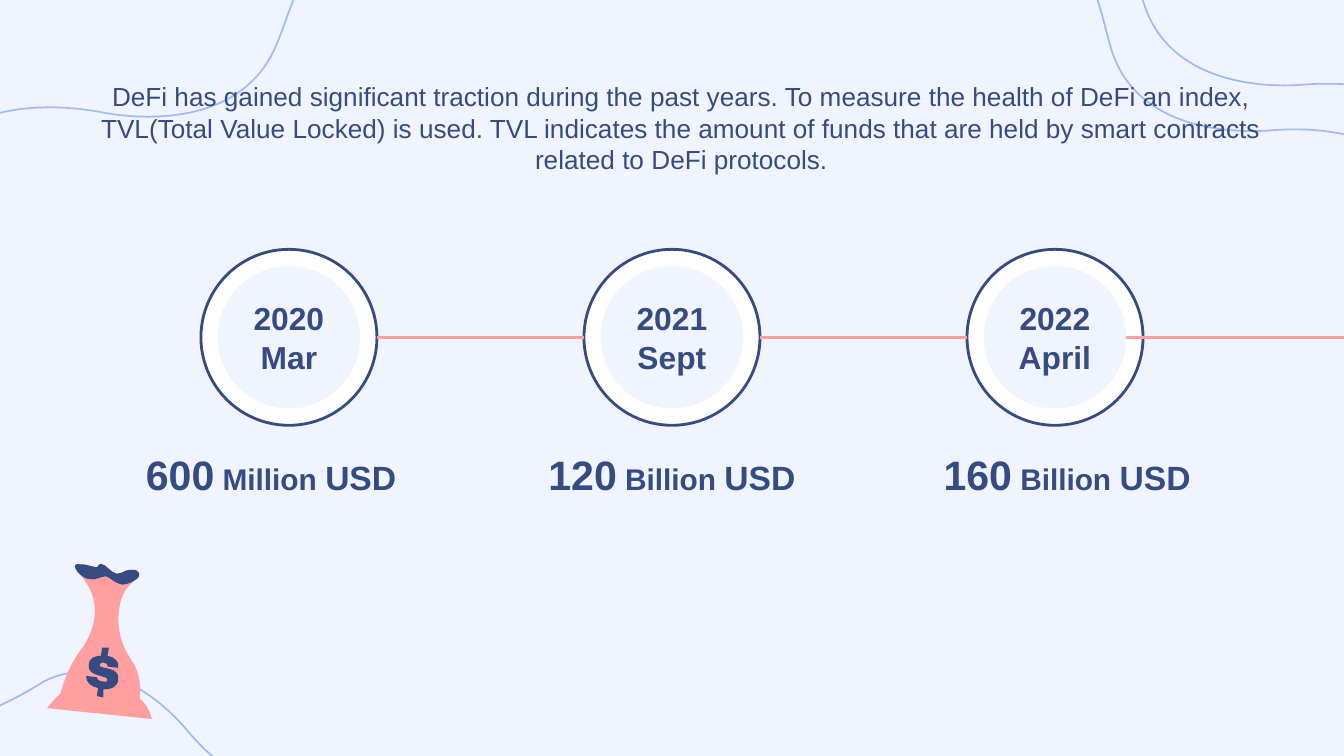
from pptx import Presentation
from pptx.dml.color import RGBColor
from pptx.enum.shapes import MSO_CONNECTOR, MSO_SHAPE
from pptx.enum.text import MSO_ANCHOR, MSO_AUTO_SIZE, PP_ALIGN
from pptx.oxml.ns import qn
from pptx.util import Inches, Pt
from lxml.etree import SubElement

NAVY = RGBColor(0x37, 0x4B, 0x83)
PINK = RGBColor(0xFF, 0x9F, 0x9F)
PALE = RGBColor(0xF0, 0xF4, 0xFF)
BLUE = RGBColor(0x9F, 0xB8, 0xFF)
WHITE = RGBColor(0xFF, 0xFF, 0xFF)

INTRO = (
    "DeFi has gained significant traction during the past years. "
    "To measure the health of DeFi an index, TVL(Total Value Locked) is used. "
    "TVL indicates the amount of funds that are held by smart contracts "
    "related to DeFi protocols."
)
MILESTONES = [
    ("2020", "Mar", [("600", 22), (" Million ", 16), ("USD", 18), (" ", 22)]),
    ("2021", "Sept", [("120", 22), (" Billion ", 16), ("USD", 18)]),
    ("2022", "April", [("160", 22), (" Billion ", 16), ("USD", 18)]),
]

# Outlines: a start point, then line ends (2 numbers) or Bezier curves (6 numbers).
WAVES = [
    [(2.39, -0.27), (2.3, -0.23, 2.25, -0.14, 2.21, -0.06),
     (2.15, 0.07, 2.11, 0.21, 2.05, 0.35), (1.76, 1.01, 0.89, 0.86, 0.78, 0.84),
     (0.52, 0.79, 0.25, 0.78, 0, 0.84), (-0.25, 0.9, -0.49, 1.04, -0.66, 1.24)],
    [(-0.2, 5.28), (-0.12, 5.3, -0.05, 5.28, 0.02, 5.24),
     (0.13, 5.19, 0.23, 5.13, 0.33, 5.07), (0.85, 4.81, 1.32, 5.35, 1.38, 5.42),
     (1.51, 5.58, 1.67, 5.72, 1.86, 5.82), (2.05, 5.91, 2.27, 5.94, 2.48, 5.9)],
    [(8.01, -0.27), (8.08, -0.22, 8.12, -0.13, 8.15, -0.05),
     (8.2, 0.09, 8.23, 0.23, 8.27, 0.37), (8.48, 1.04, 9.34, 0.98, 9.46, 0.97),
     (9.71, 0.95, 9.97, 0.97, 10.21, 1.06), (10.45, 1.14, 10.67, 1.3, 10.81, 1.51)],
    [(8.24, -0.61), (8.32, -0.56, 8.36, -0.48, 8.39, -0.39),
     (8.44, -0.26, 8.47, -0.12, 8.51, 0.02), (8.72, 0.7, 9.58, 0.64, 9.7, 0.63),
     (9.95, 0.61, 10.21, 0.63, 10.45, 0.71), (10.69, 0.8, 10.91, 0.95, 11.04, 1.17)],
]
RIM_LEFT = [
    (0.76, 4.2), (0.76, 4.19, 0.75, 4.2, 0.74, 4.2),
    (0.72, 4.22, 0.72, 4.23, 0.71, 4.22), (0.7, 4.22, 0.68, 4.21, 0.62, 4.2),
    (0.61, 4.2, 0.6, 4.2, 0.6, 4.2),
]
RIM_RIGHT = [
    (1.06, 4.29, 1.04, 4.24, 0.99, 4.24), (0.97, 4.24, 0.94, 4.24, 0.91, 4.26),
    (0.9, 4.26, 0.88, 4.27, 0.87, 4.27), (0.82, 4.26, 0.79, 4.2, 0.76, 4.2),
]
SACK = RIM_LEFT + [
    (0.53, 4.19, 0.56, 4.23, 0.6, 4.28), (0.61, 4.29, 0.62, 4.31, 0.63, 4.32),
    (0.76, 4.5, 0.7, 4.69, 0.62, 4.81), (0.53, 4.93, 0.49, 5.02, 0.45, 5.16),
    (0.42, 5.19, 0.38, 5.23, 0.35, 5.27), (1.13, 5.35),
    (1.11, 5.25, 1.04, 5.2, 1.04, 5.2), (1.06, 4.95, 0.96, 4.93, 0.91, 4.78),
    (0.86, 4.64, 0.87, 4.43, 0.98, 4.34), (0.99, 4.33, 0.99, 4.33, 1, 4.32),
] + RIM_RIGHT
COLLAR = RIM_LEFT + [
    (0.54, 4.19, 0.55, 4.22, 0.58, 4.26), (0.61, 4.29, 0.64, 4.31, 0.67, 4.31),
    (0.71, 4.32, 0.75, 4.29, 0.78, 4.29), (0.78, 4.29, 0.78, 4.29, 0.79, 4.29),
    (0.81, 4.29, 0.85, 4.34, 0.91, 4.35), (0.93, 4.35, 0.97, 4.34, 1, 4.32),
] + RIM_RIGHT
DOLLAR = [
    (0.76, 4.82), (0.75, 4.88), (0.7, 4.88, 0.66, 4.9, 0.66, 4.95),
    (0.65, 5.04, 0.8, 5.02, 0.8, 5.06), (0.8, 5.08, 0.77, 5.07, 0.76, 5.07),
    (0.75, 5.07, 0.72, 5.06, 0.72, 5.04), (0.64, 5.03),
    (0.64, 5.08, 0.68, 5.11, 0.73, 5.12), (0.72, 5.18), (0.77, 5.19), (0.77, 5.13),
    (0.83, 5.13, 0.88, 5.11, 0.88, 5.05), (0.89, 4.96, 0.74, 4.98, 0.74, 4.95),
    (0.74, 4.93, 0.77, 4.93, 0.77, 4.93), (0.79, 4.94, 0.81, 4.94, 0.8, 4.96),
    (0.88, 4.97), (0.89, 4.92, 0.85, 4.89, 0.8, 4.88), (0.81, 4.82),
]

CENTER_X, CENTER_Y = 5, 2.51
CIRCLE_PITCH, AMOUNT_PITCH = 2.85, 2.94
RING, DISC = 1.31, 1.06
AMOUNT_TOP, AMOUNT_WIDTH, AMOUNT_HEIGHT = 3.24, 2.6, 0.58


def paint(shape, fill=None, line=None, width=1.5):
    shape.shadow.inherit = False
    if fill is None:
        shape.fill.background()
    else:
        shape.fill.solid()
        shape.fill.fore_color.rgb = fill
    if line is None:
        shape.line.fill.background()
    else:
        shape.line.color.rgb = line
        shape.line.width = Pt(width)


def draw_outline(page, outline, closed=True, **style):
    start, *points = [
        (Inches(segment[i]), Inches(segment[i + 1]))
        for segment in outline for i in range(0, len(segment), 2)]
    builder = page.shapes.build_freeform(*start)
    builder.add_line_segments(points, close=closed)
    shape = builder.convert_to_shape()
    steps = iter(list(shape._element.iter(qn("a:lnTo"))))
    for segment in outline[1:]:
        first = next(steps)
        if len(segment) == 6:
            curve = first.makeelement(qn("a:cubicBezTo"))
            first.addprevious(curve)
            for step in (first, next(steps), next(steps)):
                curve.append(step[0])
                step.getparent().remove(step)
    paint(shape, **style)


def draw_circle(page, x, size, **style):
    circle = page.shapes.add_shape(
        MSO_SHAPE.OVAL, Inches(x - size / 2), Inches(CENTER_Y - size / 2),
        Inches(size), Inches(size))
    paint(circle, **style)
    return circle


def draw_link(page, start, end):
    link = page.shapes.add_connector(
        MSO_CONNECTOR.STRAIGHT, Inches(start), Inches(CENTER_Y), Inches(end), Inches(CENTER_Y))
    link.line.color.rgb = PINK
    link.line.width = Pt(1.5)
    SubElement(link._element.spPr, qn("a:effectLst"))


def write(box, paragraphs, bold=True, anchor=MSO_ANCHOR.MIDDLE, side=0.1):
    frame = box.text_frame
    frame.word_wrap = True
    frame.auto_size = MSO_AUTO_SIZE.NONE
    frame.vertical_anchor = anchor
    frame.margin_left = frame.margin_right = Inches(side)
    frame.margin_top = frame.margin_bottom = Inches(0.1)
    for index, spans in enumerate(paragraphs):
        para = frame.add_paragraph() if index else frame.paragraphs[0]
        para.alignment = PP_ALIGN.CENTER
        para.space_before = Pt(0)
        for text, size in spans:
            span = para.add_run()
            span.text = text
            span.font.name = "Arial"
            span.font.size = Pt(size)
            span.font.bold = bold
            span.font.color.rgb = NAVY


deck = Presentation()
deck.slide_width, deck.slide_height = Inches(10), Inches(10 * 9 / 16)
page = deck.slides.add_slide(deck.slide_layouts[0])
page.background.fill.solid()
page.background.fill.fore_color.rgb = PALE

title, intro = page.placeholders
title._element.getparent().remove(title._element)
for wave in WAVES:
    draw_outline(page, wave, closed=False, line=BLUE, width=0.91)

page.shapes._spTree.append(intro._element)
intro.left, intro.top = Inches(0.35), Inches(0.5)
intro.width, intro.height = Inches(9.44), Inches(4.45)
write(intro, [[(INTRO, 14)]], bold=False, anchor=MSO_ANCHOR.TOP)

centers = [CENTER_X + (i - 1) * CIRCLE_PITCH for i in range(len(MILESTONES))]
for x, (year, month, _) in zip(centers, MILESTONES):
    draw_circle(page, x, RING, fill=WHITE, line=NAVY)
    write(draw_circle(page, x, DISC, fill=PALE), [[(year, 17)], [(month, 17)]], side=0)

for left, right in zip(centers, centers[1:]):
    draw_link(page, left + RING / 2, right - RING / 2)
draw_link(page, centers[-1] + DISC / 2, 10.05)

for i, (_, _, amount) in enumerate(MILESTONES):
    left = CENTER_X + (i - 1) * AMOUNT_PITCH - AMOUNT_WIDTH / 2
    write(page.shapes.add_textbox(Inches(left), Inches(AMOUNT_TOP), Inches(AMOUNT_WIDTH),
                                  Inches(AMOUNT_HEIGHT)), [amount])

for outline, color in [(SACK, PINK), (COLLAR, NAVY), (DOLLAR, NAVY)]:
    draw_outline(page, outline, fill=color)

deck.save("out.pptx")
